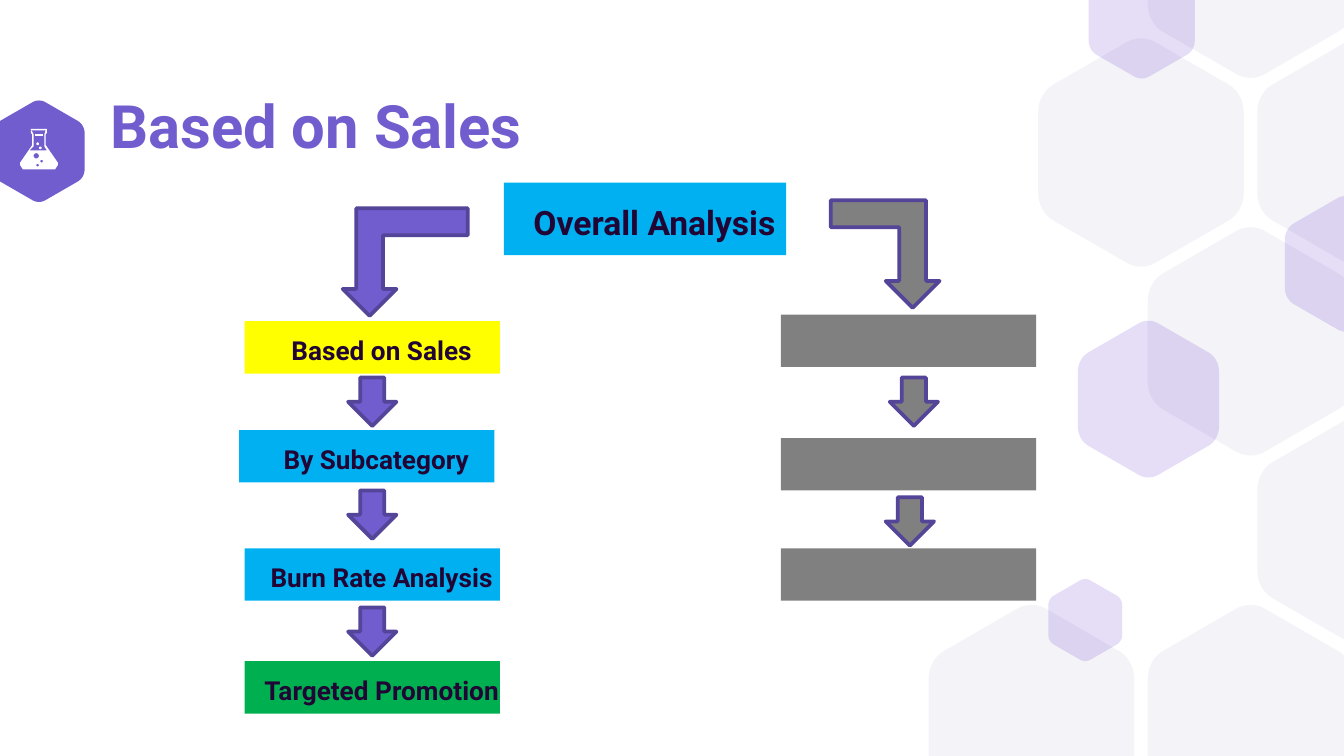
from dataclasses import dataclass
from math import cos, pi, sin

from lxml.etree import SubElement
from pptx import Presentation
from pptx.dml.color import RGBColor
from pptx.enum.shapes import MSO_SHAPE as Kind
from pptx.enum.text import MSO_ANCHOR as Anchor, PP_ALIGN as Align
from pptx.oxml.ns import qn
from pptx.util import Inches, Pt

Point = tuple[float, float]
WIDE = 10
HIGH = WIDE * 9 / 16


@dataclass(frozen=True)
class Theme:
    font: str = "Roboto"
    title: int = 32
    head: int = 18
    body: int = 14
    violet: str = "725DCF"
    edge: str = "544599"
    tint: str = "5322C9"
    pale: str = "F4F3F8"
    ink: str = "210635"
    white: str = "FFFFFF"
    grey: str = "808080"
    blue: str = "00B0F0"
    yellow: str = "FFFF00"
    green: str = "00B050"


T = Theme()


@dataclass(frozen=True)
class Box:
    left: float
    top: float
    fill: str
    text: str = ""
    width: float = 1.9
    height: float = 0.39
    size: int = T.body


@dataclass(frozen=True)
class Arrow:
    left: float
    top: float
    fill: str
    width: float = 0.36
    height: float = 0.36
    kind: Kind = Kind.DOWN_ARROW
    turn: int = 0
    flip: bool = False


deck = Presentation()
deck.slide_width, deck.slide_height = Inches(WIDE), Inches(HIGH)
slide = deck.slides.add_slide(deck.slide_layouts[6])
shapes = slide.shapes


def paint(shape, fill: str, alpha: int = 100) -> None:
    """Fill a shape, with no shadow and no line."""
    shape.shadow.inherit = False
    shape.line.fill.background()
    shape.fill.solid()
    shape.fill.fore_color.rgb = RGBColor.from_string(fill)
    if alpha < 100:
        tone = shape.element.spPr.find(f"{qn('a:solidFill')}/{qn('a:srgbClr')}")
        SubElement(tone, qn("a:alpha")).set("val", str(alpha * 1000))


def trace(loops: list[list[Point]], fill: str, alpha: int = 100) -> None:
    """Draw closed outlines as one shape; inner loops are holes."""
    pen = None
    for loop in loops:
        dots = [(Inches(x), Inches(y)) for x, y in loop]
        if pen is None:
            pen = shapes.build_freeform(*dots[0])
        else:
            pen.move_to(*dots[0])
        pen.add_line_segments(dots[1:], close=True)
    paint(pen.convert_to_shape(), fill, alpha)


def curve(a: Point, b: Point, c: Point, d: Point, steps: int = 8) -> list[Point]:
    """Points along a cubic curve."""
    dots = []
    for i in range(steps + 1):
        t = i / steps
        parts = ((1 - t) ** 3, 3 * t * (1 - t) ** 2, 3 * t * t * (1 - t), t ** 3)
        dots.append(tuple(sum(k * p[n] for k, p in zip(parts, (a, b, c, d)))
                          for n in (0, 1)))
    return dots


def hexagon(left: float, top: float, width: float, fill: str, alpha: int = 100) -> None:
    """Draw a hexagon with round corners, cut at the top and bottom of the slide."""
    side = curve((1, 0.325), (1, 0.27), (0.97, 0.22), (0.915, 0.195))
    peak = curve((0.58, 0.02), (0.53, -0.01), (0.47, -0.01), (0.42, 0.02))
    upper = side + peak + [(1 - x, y) for x, y in reversed(side)]
    unit = upper + [(1 - x, 1 - y) for x, y in upper]
    high = width * 1.105
    trace([[(left + x * width, min(max(top + y * high, 0), HIGH)) for x, y in unit]],
          fill, alpha)


def ring(x: float, y: float, r: float) -> list[Point]:
    return [(x + r * cos(pi * i / 8), y + r * sin(pi * i / 8)) for i in range(16)]


def write(shape, text: str, size: int, color: str, spacing: float, align: Align) -> None:
    frame = shape.text_frame
    frame.word_wrap = True
    frame.vertical_anchor = Anchor.MIDDLE
    frame.margin_left = frame.margin_right = frame.margin_top = frame.margin_bottom = 0
    para = frame.paragraphs[0]
    para.text, para.alignment, para.line_spacing = text, align, spacing
    font = para.font
    font.name, font.size, font.bold = T.font, Pt(size), True
    font.color.rgb = RGBColor.from_string(color)


def draw_box(box: Box) -> None:
    shape = shapes.add_shape(Kind.RECTANGLE, Inches(box.left), Inches(box.top),
                             Inches(box.width), Inches(box.height))
    paint(shape, box.fill)
    if box.text:
        write(shape, box.text, box.size, T.ink, 1.15, Align.CENTER)
        para = shape.text_frame.paragraphs[0]
        para._p.get_or_add_pPr().set("marL", str(Inches(0.14)))


def draw_arrow(arrow: Arrow) -> None:
    shape = shapes.add_shape(arrow.kind, Inches(arrow.left), Inches(arrow.top),
                             Inches(arrow.width), Inches(arrow.height))
    paint(shape, arrow.fill)
    shape.line.color.rgb = RGBColor.from_string(T.edge)
    shape.line.width = Pt(2)
    SubElement(shape.element.spPr.find(qn("a:ln")), qn("a:round"))
    shape.rotation = arrow.turn
    if arrow.flip:
        shape.element.spPr.find(qn("a:xfrm")).set("flipH", "1")


# Honeycomb: columns half a cell apart, rows one pitch apart
for col, row in ((0, 3), (2, 3), (3, 0), (2, -1), (2, 1), (1, 0), (3, 2)):
    hexagon(6.91 + 0.815 * col, 0.29 + 1.405 * row, 1.53, T.pale)
for left, top, width in ((9.56, 1.46, 0.91), (7.8, 4.31, 0.55),
                         (8.1, -0.29, 0.79), (8.02, 2.39, 1.05)):
    hexagon(left, top, width, T.tint, 15)

# Title and its badge
hexagon(-0.05, 0.75, 0.68, T.violet)
title = shapes.add_textbox(Inches(0.82), Inches(0.75), Inches(6.57), Inches(0.43))
write(title, "Based on Sales", T.title, T.violet, 0.9, Align.LEFT)

# Flask: outline, empty neck, then bubbles
flask = [(0.23, 0.96), (0.35, 0.96), (0.35, 0.99), (0.34, 1), (0.34, 1.08),
         (0.43, 1.21), (0.43, 1.23), (0.41, 1.26), (0.17, 1.26), (0.15, 1.23),
         (0.15, 1.21), (0.24, 1.08), (0.24, 1), (0.23, 0.99)]
neck = [(0.23, 0.97), (0.34, 0.97), (0.33, 1), (0.33, 1.09), (0.35, 1.12),
        (0.22, 1.12), (0.25, 1.09), (0.25, 1), (0.24, 0.98)]
trace([flask, neck, ring(0.27, 1.16, 0.02), ring(0.31, 1.2, 0.01),
       ring(0.28, 1.23, 0.01)], T.white)
for x, y in ((0.3, 1.1), (0.28, 1.07)):
    trace([ring(x, y, 0.01)], T.white)
trace([[(0.26, 1), (0.32, 1), (0.32, 1.01), (0.26, 1.01)]], T.white)

# Boxes
for box in (
    Box(3.75, 1.36, T.blue, "Overall Analysis", 2.1, 0.54, T.head),
    Box(1.82, 2.39, T.yellow, "Based on Sales"),
    Box(1.78, 3.2, T.blue, "By Subcategory"),
    Box(1.82, 4.08, T.blue, "Burn Rate Analysis"),
    Box(1.82, 4.92, T.green, "Targeted Promotion"),
    *(Box(5.81, top, T.grey) for top in (2.34, 3.26, 4.08)),
):
    draw_box(box)

# Arrows
for arrow in (
    *(Arrow(2.59, top, T.violet) for top in (2.81, 3.65, 4.52)),
    Arrow(6.62, 2.81, T.grey),
    Arrow(6.59, 3.7, T.grey),
    Arrow(2.55, 1.55, T.violet, 0.93, 0.8, Kind.BENT_UP_ARROW, 180),
    Arrow(6.18, 1.49, T.grey, 0.81, 0.8, Kind.BENT_UP_ARROW, 180, True),
):
    draw_arrow(arrow)

deck.save("out.pptx")
